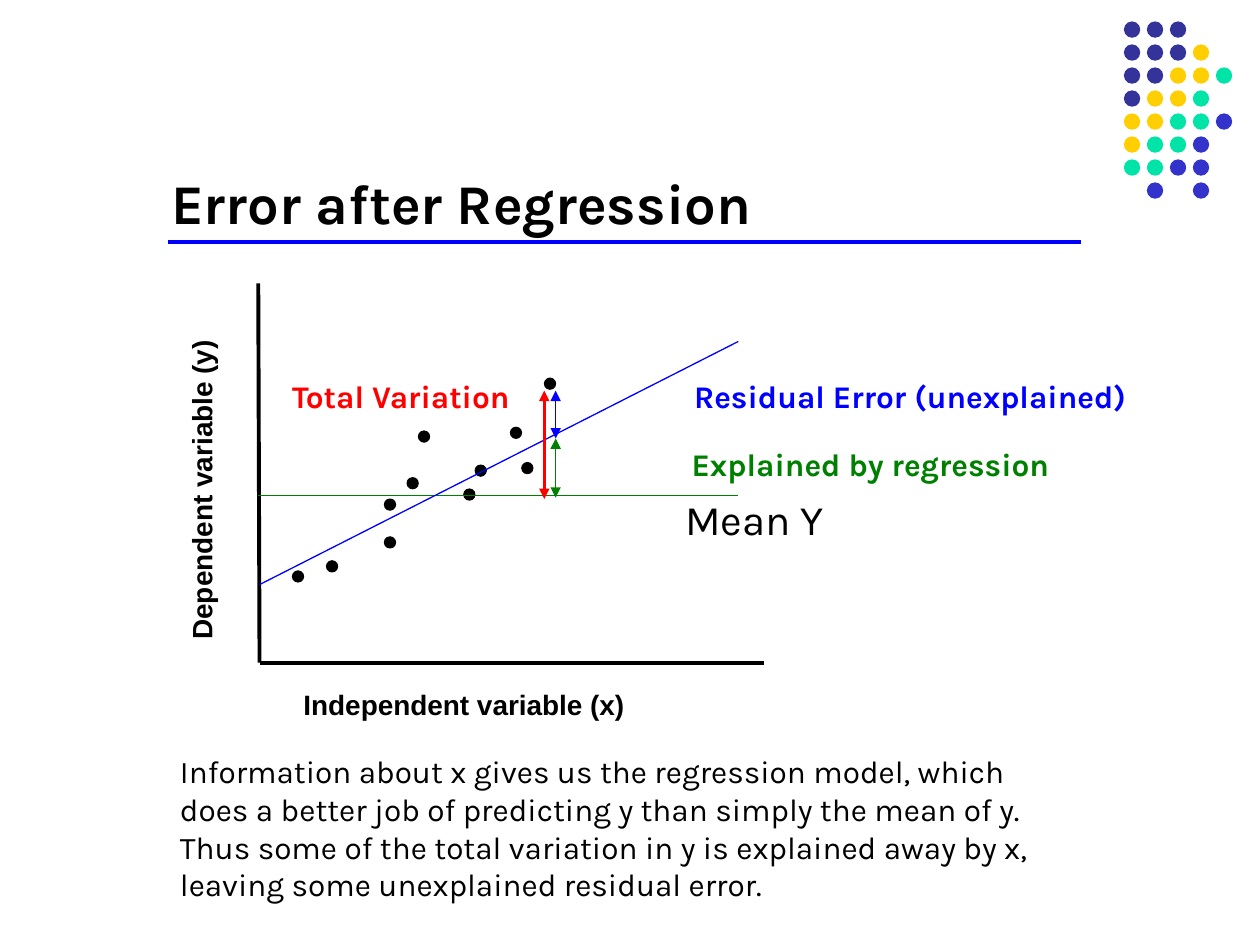
from lxml import etree
from pptx import Presentation
from pptx.dml.color import RGBColor
from pptx.enum.shapes import MSO_CONNECTOR, MSO_SHAPE
from pptx.enum.text import MSO_ANCHOR, MSO_AUTO_SIZE
from pptx.oxml.ns import qn
from pptx.util import Inches, Pt

OVAL = MSO_SHAPE.OVAL
STRAIGHT = MSO_CONNECTOR.STRAIGHT
TOP, BOTTOM = MSO_ANCHOR.TOP, MSO_ANCHOR.BOTTOM
GROW, FIXED = MSO_AUTO_SIZE.SHAPE_TO_FIT_TEXT, MSO_AUTO_SIZE.NONE

BLACK = RGBColor(0, 0, 0)
BLUE = RGBColor(0, 0, 255)
GREEN = RGBColor(0, 128, 0)
RED = RGBColor(255, 0, 0)
NAVY = RGBColor(0x33, 0x33, 0x99)
GOLD = RGBColor(0xFF, 0xCF, 0x01)
MINT = RGBColor(0x00, 0xE4, 0xA8)
INDIGO = RGBColor(0x33, 0x33, 0xCC)

TINTS = {"n": NAVY, "g": GOLD, "m": MINT, "i": INDIGO}
MOTIF = ["nnn", "nnng", "nnggm", "nggm", "ggmmi", "gmmi", "mmii", " i i"]

HEAD = {"name": "Karla", "size": Pt(32), "bold": True}
BODY = {"name": "Karla", "size": Pt(18), "bold": False}
LABEL = {"name": "Karla", "size": Pt(18), "bold": True}
MEAN = {"name": "Karla", "size": Pt(24), "bold": False}
AXIS = {"name": "Arial", "size": Pt(16), "bold": True}

POINTS = [
    (1, 2.01), (0.54, 2.2), (1.18, 1.54), (1.63, 1.63), (1.27, 1.17),
    (1.72, 1.44), (2.09, 1.42), (2, 1.14), (1, 1.71), (0.27, 2.28), (2.27, 0.75),
]
LINES = [
    ((0.01, 3.01), (4.01, 3.01), BLACK, 2, False),
    ((0.01, 3.01), (0, 0), BLACK, 2.25, False),
    ((0, 1.68), (3.81, 1.68), GREEN, 0.75, False),
    ((0.01, 2.39), (3.81, 0.46), BLUE, 0.75, False),
    ((2.27, 0.85), (2.27, 1.71), RED, 1.5, True),
    ((2.36, 0.85), (2.36, 1.23), BLUE, 0.75, True),
    ((2.36, 1.23), (2.36, 1.7), GREEN, 0.75, True),
]
LABELS = [
    ("Independent variable (x)", (0.26, 3.16, 2.75, 0.37), AXIS, BLACK),
    ("Mean Y", (3.29, 1.62, 1.36, 0.5), MEAN, BLACK),
    ("Total Variation", (0.17, 0.69, 2.06, 0.4), LABEL, RED),
    ("Explained by regression", (3.34, 1.23, 3.17, 0.4), LABEL, GREEN),
    ("Residual Error (unexplained)", (3.36, 0.69, 3.75, 0.4), LABEL, BLUE),
]


def add_text(shapes, box, text, style, color=BLACK, wrap=True, fit=GROW, anchor=TOP):
    """Add a text box with one styled run."""
    shape = shapes.add_textbox(*box)
    frame = shape.text_frame
    form = {"word_wrap": wrap, "auto_size": fit, "vertical_anchor": anchor}
    for key, value in form.items():
        setattr(frame, key, value)
    run = frame.paragraphs[0].add_run()
    run.text = text
    for key, value in style.items():
        setattr(run.font, key, value)
    run.font.color.rgb = color
    return shape


def add_dot(shapes, left, top, size, color, edge=None):
    """Add a filled dot, outlined when an edge width is given."""
    dot = shapes.add_shape(OVAL, left, top, size, size)
    dot.shadow.inherit = False
    dot.fill.solid()
    dot.fill.fore_color.rgb = color
    if edge:
        dot.line.color.rgb = color
        dot.line.width = edge
    else:
        dot.line.fill.background()


def add_line(shapes, start, end, color, width, arrows=False):
    """Add a straight line, with an arrowhead at both ends if asked."""
    line = shapes.add_connector(STRAIGHT, *start, *end)
    line.line.color.rgb = color
    line.line.width = Pt(width)
    props = line._element.spPr
    if arrows:
        for tag in ("a:headEnd", "a:tailEnd"):
            etree.SubElement(props.find(qn("a:ln")), qn(tag), type="triangle")
    etree.SubElement(props, qn("a:effectLst"))


def add_motif(slide, left, top, width):
    """Add the corner pattern of coloured dots."""
    shapes = slide.shapes.add_group_shape().shapes
    size = Inches(0.13)
    step = (width - size) / 4
    for row, marks in enumerate(MOTIF):
        for col, mark in enumerate(marks):
            if mark in TINTS:
                x, y = int(left + col * step), int(top + row * step)
                add_dot(shapes, x, y, size, TINTS[mark])


def add_title(slide, left, top, width, height):
    """Add the title and the rule below it."""
    add_text(slide.shapes, (left, top, width, height), "Error after Regression",
             HEAD, fit=FIXED, anchor=BOTTOM)
    start, base = left + Inches(0.07), top + height
    add_line(slide.shapes, (start, base), (start + Inches(7.25), base), BLUE, 2.25)


def add_plot(slide, left, top):
    """Add the scatter diagram with its axes, lines and labels."""
    shapes = slide.shapes.add_group_shape().shapes

    def place(x, y):
        """Turn plot offsets into a slide position."""
        return left + Inches(x), top + Inches(y)

    side = (*place(-1.77, 1.42), Inches(2.64), Inches(0.37))
    add_text(shapes, side, "Dependent variable (y)", AXIS).rotation = 270
    for point in POINTS:
        add_dot(shapes, *place(*point), Inches(0.09), BLACK, Pt(0.5))
    for start, end, *look in LINES:
        add_line(shapes, place(*start), place(*end), *look)
    for text, (x, y, width, height), style, color in LABELS:
        box = (*place(x, y), Inches(width), Inches(height))
        add_text(shapes, box, text, style, color, wrap=False)


def add_note(slide, left, top, width, height):
    """Add the explanation below the diagram."""
    text = ("Information about x gives us the regression model, which does a better "
            "job of predicting y than simply the mean of y. Thus some of the total "
            "variation in y is explained away by x, leaving some unexplained "
            "residual error.")
    add_text(slide.shapes, (left, top, width, height), text, BODY)


def main():
    """Build and save the slide."""
    deck = Presentation()
    deck.slide_width, deck.slide_height = Inches(10), Inches(7.5)
    slide = deck.slides.add_slide(deck.slide_layouts[6])
    add_motif(slide, Inches(8.92), Inches(0.17), Inches(0.86))
    add_title(slide, Inches(1.26), Inches(0.67), Inches(8.52), Inches(1.25))
    add_plot(slide, Inches(2.05), Inches(2.25))
    add_note(slide, Inches(1.33), Inches(5.92), Inches(7.18), Inches(1.3))
    deck.save("out.pptx")


if __name__ == "__main__":
    main()
